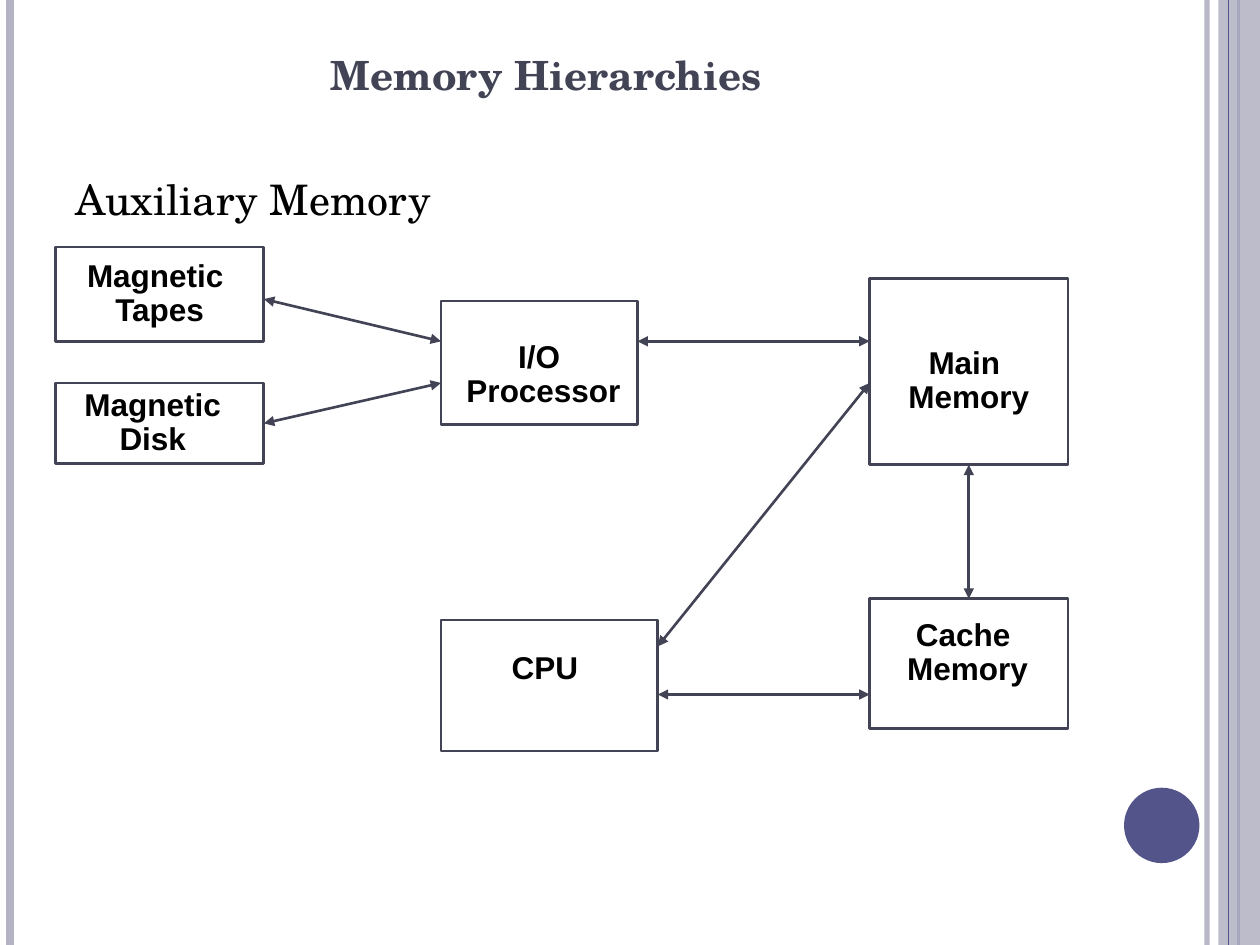
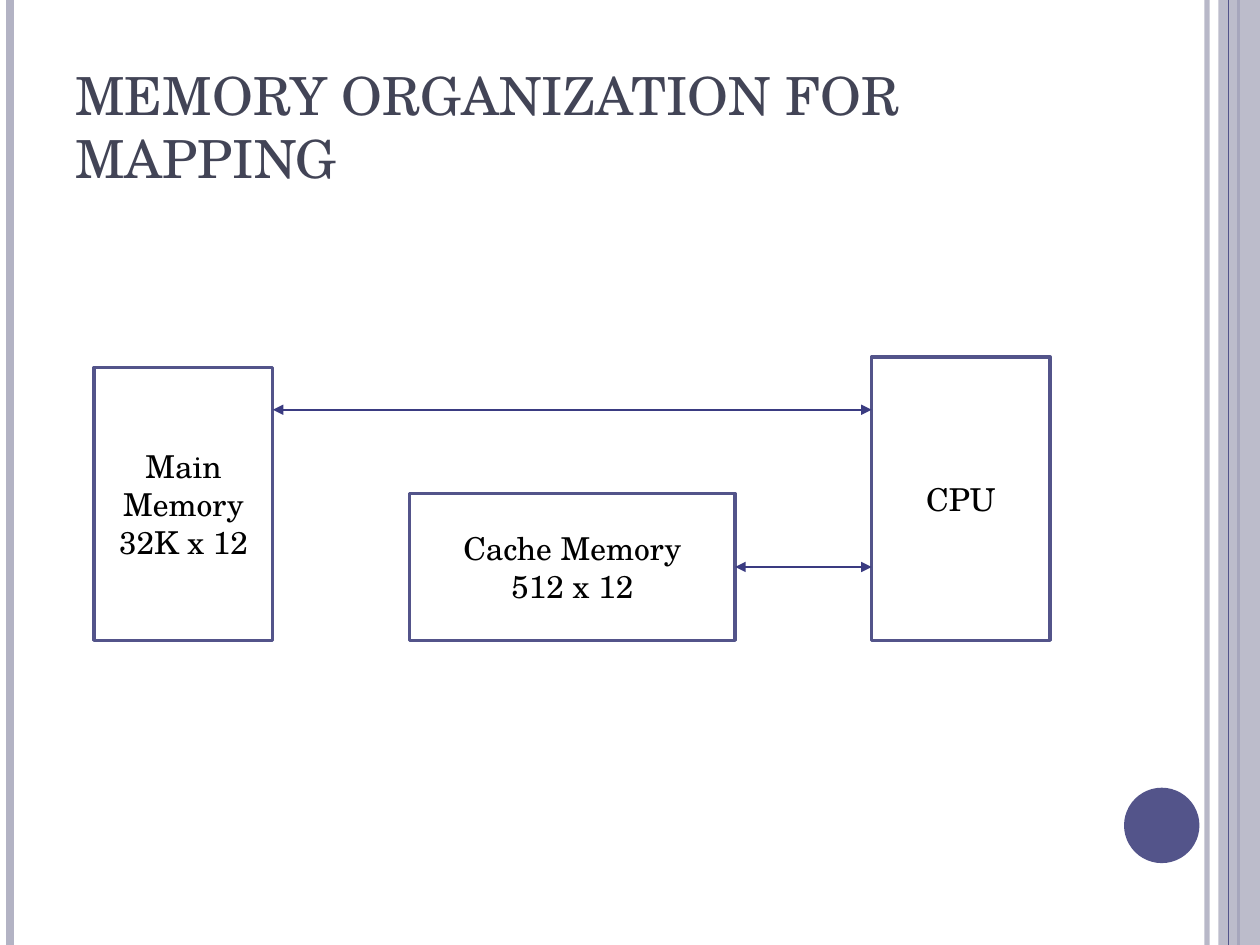
from lxml import etree
from pptx import Presentation
from pptx.dml.color import RGBColor
from pptx.enum.shapes import MSO_CONNECTOR, MSO_SHAPE
from pptx.enum.text import MSO_ANCHOR, MSO_AUTO_SIZE, PP_ALIGN
from pptx.oxml.ns import qn
from pptx.util import Cm, Pt

RECT, OVAL = MSO_SHAPE.RECTANGLE, MSO_SHAPE.OVAL
LINE = MSO_CONNECTOR.STRAIGHT
LEFT, MID = PP_ALIGN.LEFT, PP_ALIGN.CENTER
TOP, CENTER, LOW = MSO_ANCHOR.TOP, MSO_ANCHOR.MIDDLE, MSO_ANCHOR.BOTTOM
GROW = MSO_AUTO_SIZE.SHAPE_TO_FIT_TEXT
NORTH, WEST, SOUTH, EAST = range(4)

SLATE = RGBColor(0x42, 0x44, 0x56)
INDIGO = RGBColor(0x53, 0x54, 0x8A)
NAVY = RGBColor(0x3A, 0x3B, 0x81)
MIST = RGBColor(0xB3, 0xB3, 0xC4)
BLACK = RGBColor(0, 0, 0)
WHITE = RGBColor(255, 255, 255)
SERIF, SANS = "TeX Gyre Schola", "Arial"
WIDE, HIGH = 25.4, 19.05


def fade(shape, share):
    """Make the colours of a shape partly see-through."""
    for color in shape.element.spPr.iter(qn("a:srgbClr")):
        etree.SubElement(color, qn("a:alpha"), val=str(share * 1000))


def stroke(slide, start, end, ink, width):
    """Draw a straight line without shadow."""
    line = slide.shapes.add_connector(LINE, *map(Cm, start + end))
    line.line.color.rgb = ink
    line.line.width = Pt(width)
    etree.SubElement(line.element.spPr, qn("a:effectLst"))
    return line


def block(slide, kind, box, fill=None, ink=None, width=1.5):
    """Draw a flat preset shape."""
    shape = slide.shapes.add_shape(kind, *map(Cm, box))
    shape.shadow.inherit = False
    if fill is None:
        shape.fill.background()
    else:
        shape.fill.solid()
        shape.fill.fore_color.rgb = fill
    if ink is None:
        shape.line.fill.background()
    else:
        shape.line.color.rgb = ink
        shape.line.width = Pt(width)
    return shape


def write(shape, text, size, font=SERIF, ink=BLACK, bold=False,
          align=MID, anchor=TOP):
    """Set and format the text of a shape."""
    frame = shape.text_frame
    frame.text = text
    frame.word_wrap = True
    frame.vertical_anchor = anchor
    for par in frame.paragraphs:
        par.alignment = align
        for run in par.runs:
            run.font.size = Pt(size)
            run.font.name = font
            run.font.bold = bold
            run.font.color.rgb = ink
    return frame


def note(slide, box, text, size, **look):
    """Add a text box."""
    return write(slide.shapes.add_textbox(*map(Cm, box)), text, size, **look)


def label(slide, node, box, text):
    """Add a bold label placed relative to its node."""
    x, y, w, h = box
    place = (node.left.cm + x, node.top.cm + y, w, h)
    frame = note(slide, place, text, 18, font=SANS, bold=True)
    frame.margin_left = frame.margin_right = Cm(0.13)
    frame.auto_size = GROW
    for par in frame.paragraphs:
        par.line_spacing = 0.9


def spot(node, side, drop):
    """Find a point on a side, at a drop from the top or at its middle."""
    x = {WEST: 0, EAST: 1}.get(side, 0.5) * node.width.cm
    y = {NORTH: 0, SOUTH: 1}.get(side, 0.5) * node.height.cm
    return node.left.cm + x, node.top.cm + (y if drop is None else drop)


def link(slide, start, end, ink, width):
    """Join two nodes with a two-headed arrow."""
    line = stroke(slide, spot(*start), spot(*end), ink, width)
    for (node, side, drop), join in ((start, line.begin_connect),
                                     (end, line.end_connect)):
        if drop is None:
            join(node, side)
    edge = line.element.spPr.find(qn("a:ln"))
    for tip in ("a:headEnd", "a:tailEnd"):
        etree.SubElement(edge, qn(tip), type="triangle")


def frame(slide):
    """Draw the side bands and the disc."""
    def rule(x, ink, width):
        return stroke(slide, (x, 0), (x, HIGH), ink, width)

    fade(rule(24.33, MIST, 3), 93)
    rule(0.2, MIST, 4.5)
    rule(24.97, INDIGO, 1.5)
    fade(block(slide, RECT, (24.56, 0, WIDE - 24.56, HIGH), MIST), 87)
    rule(24.77, INDIGO, 0.75)
    block(slide, OVAL, (22.66, 15.88, 1.52, 1.52), INDIGO)


def levels(slide, x, y):
    """Draw the memory hierarchy from its top left corner."""
    parts = {
        "tapes": ((0, 0, 4.2, 1.9), (0, 0.15, 4.2, 1.63), "Magnetic \nTapes"),
        "disk": ((0, 2.74, 4.2, 1.63), (-0.3, 0, 4.52, 1.63), "Magnetic Disk"),
        "cpu": ((7.77, 7.52, 4.37, 2.64), (0.84, 0.53, 2.51, 0.94), "CPU"),
        "port": ((7.77, 1.09, 3.96, 2.49), (0, 0.69, 3.96, 1.63),
                 "I/O\n Processor"),
        "main": ((16.41, 0.63, 4, 3.76), (0, 1.27, 4, 1.63), "Main \nMemory"),
        "cache": ((16.41, 7.09, 4, 2.62), (0.36, 0.28, 3.23, 1.63),
                  "Cache \nMemory"),
    }
    nodes = {}
    for name, ((dx, dy, w, h), place, text) in parts.items():
        nodes[name] = block(slide, RECT, (x + dx, y + dy, w, h), ink=SLATE)
        label(slide, nodes[name], place, text)
    links = [
        (("tapes", EAST, 1.05), ("port", WEST, 0.81)),
        (("disk", EAST, None), ("port", WEST, 1.65)),
        (("port", EAST, 0.81), ("main", WEST, 1.27)),
        (("cpu", EAST, 0.53), ("main", WEST, 2.11)),
        (("cpu", EAST, 1.5), ("cache", WEST, 1.93)),
        (("main", SOUTH, None), ("cache", NORTH, None)),
    ]
    for start, end in links:
        link(slide, (nodes[start[0]], *start[1:]),
             (nodes[end[0]], *end[1:]), SLATE, 1.5)


def mapping(slide, x, base):
    """Draw the mapping nodes standing on a common base line."""
    def node(dx, w, h, text):
        shape = block(slide, RECT, (x + dx, base - h, w, h), WHITE, INDIGO, 2)
        write(shape, text, 18, anchor=CENTER)
        return shape

    main = node(0, 3.6, 5.5, "Main Memory 32K x 12")
    cpu = node(15.67, 3.6, 5.71, "CPU")
    cache = node(6.36, 6.56, 2.96, "Cache Memory\n512 x 12")
    link(slide, (main, EAST, 0.85), (cpu, WEST, 1.06), NAVY, 1)
    link(slide, (cache, EAST, None), (cpu, WEST, 4.23), NAVY, 1)


def page(deck, title, box, size, **look):
    """Add a slide with the shared frame and title."""
    slide = deck.slides.add_slide(deck.slide_layouts[6])
    frame(slide)
    note(slide, box, title, size, ink=SLATE, anchor=LOW, **look)
    return slide


def main():
    """Build and save the deck."""
    deck = Presentation()
    deck.slide_width, deck.slide_height = Cm(WIDE), Cm(HIGH)

    slide = page(deck, "Memory Hierarchies", (1.27, 0.76, 19.5, 1.35), 23,
                 bold=True)
    note(slide, (1.27, 3.38, 20.75, 14.6), "Auxiliary Memory", 24, align=LEFT)
    levels(slide, 1.12, 4.98)

    slide = page(deck, "MEMORY ORGANIZATION FOR MAPPING",
                 (1.27, 0.76, 20.75, 3.18), 30, align=LEFT)
    mapping(slide, 1.9, 12.91)
    deck.save("out.pptx")


if __name__ == "__main__":
    main()
